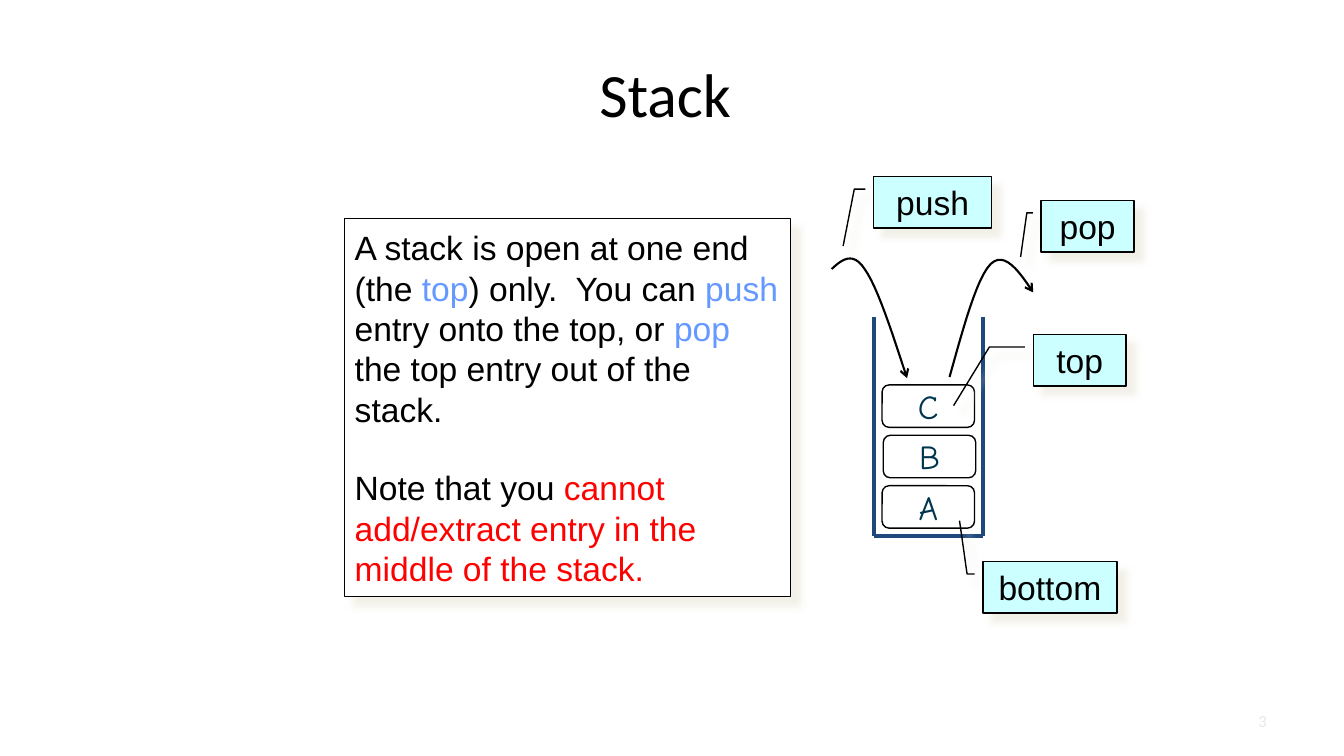
from lxml import etree
from pptx import Presentation
from pptx import util as u
from pptx.dml.color import RGBColor
from pptx.enum import shapes, text
from pptx.oxml import ns

BLACK = RGBColor(0x00, 0x00, 0x00)
WHITE = RGBColor(0xFF, 0xFF, 0xFF)
RED = RGBColor(0xFF, 0x00, 0x00)
KEYWORD = RGBColor(0x66, 0x99, 0xFF)
WALL = RGBColor(0x1F, 0x49, 0x7D)
LETTER = RGBColor(0x00, 0x35, 0x4E)
LABEL = RGBColor(0xCC, 0xFF, 0xFF)
PALE = RGBColor(0xE8, 0xE8, 0xE8)


def add_run(para, words, font, size, colour):
    span = para.add_run()
    span.text = words
    span.font.name = font
    span.font.size = u.Pt(size)
    span.font.color.rgb = colour


def style_shape(shape, fill, shadow):
    shape.fill.solid()
    shape.fill.fore_color.rgb = fill
    shape.line.color.rgb = BLACK
    shape.line.width = u.Pt(1)
    shape.shadow.inherit = False
    shape.text_frame.vertical_anchor = text.MSO_ANCHOR.MIDDLE
    if shadow:
        effects = shape._element.spPr.find(ns.qn("a:effectLst"))
        outer = etree.SubElement(effects, ns.qn("a:outerShdw"), blurRad=str(u.Pt(5)),
                                 dist=str(u.Pt(8.5)), dir="2700000", algn="tl", rotWithShape="0")
        tint = etree.SubElement(outer, ns.qn("a:srgbClr"), val="EEECE1")
        etree.SubElement(tint, ns.qn("a:alpha"), val="75000")


deck = Presentation()
deck.slide_width, deck.slide_height = u.Cm(33.87), u.Cm(19.05)
page = deck.slides.add_slide(deck.slide_layouts[5])

# Title
title = page.shapes.title
title.left, title.top, title.width, title.height = u.Cm(1.7), u.Cm(0.76), u.Cm(30.48), u.Cm(3.18)
title.text_frame.vertical_anchor = text.MSO_ANCHOR.MIDDLE
para = title.text_frame.paragraphs[0]
para.alignment = text.PP_ALIGN.CENTER
add_run(para, "Stack ", "Calibri", 44, BLACK)

# Explanation
explanation = [
    [("A stack is open at one end (the ", BLACK), ("top", KEYWORD), (") only.  You can ", BLACK),
     ("push", KEYWORD), (" entry onto the top, or ", BLACK), ("pop", KEYWORD),
     (" the top entry out of the stack.", BLACK)],
    [("Note that you ", BLACK),
     ("cannot add/extract entry in the middle of the stack.", RED)],
]
box = page.shapes.add_shape(shapes.MSO_SHAPE.RECTANGLE,
                            u.Cm(8.69), u.Cm(5.51), u.Cm(11.23), u.Cm(9.53))
style_shape(box, WHITE, True)
box.text_frame.word_wrap = True
for index, spans in enumerate(explanation):
    para = box.text_frame.paragraphs[0] if index == 0 else box.text_frame.add_paragraph()
    para.alignment = text.PP_ALIGN.LEFT
    para.space_before = u.Pt(27.6 * index)
    for words, colour in spans:
        add_run(para, words, "Arial", 24, colour)

# Container walls
corners = [(22.02, 8), (22.02, 13.51), (24.77, 13.51), (24.77, 8)]
for (x1, y1), (x2, y2) in zip(corners, corners[1:]):
    wall = page.shapes.add_connector(shapes.MSO_CONNECTOR.STRAIGHT,
                                     u.Cm(x1), u.Cm(y1), u.Cm(x2), u.Cm(y2))
    wall.line.color.rgb = WALL
    wall.line.width = u.Pt(3)
    etree.SubElement(wall._element.spPr, ns.qn("a:effectLst"))

# Stack entries, top to bottom
for index, (letter, left) in enumerate([("C", 22.23), ("B", 22.26), ("A", 22.23)]):
    entry = page.shapes.add_shape(shapes.MSO_SHAPE.ROUNDED_RECTANGLE,
                                  u.Cm(left), u.Cm(9.7 + 1.27 * index), u.Cm(2.33), u.Cm(1.07))
    entry.adjustments[0] = 0.167
    style_shape(entry, WHITE, False)
    entry.text_frame.word_wrap = False
    para = entry.text_frame.paragraphs[0]
    para.alignment = text.PP_ALIGN.CENTER
    add_run(para, letter, "Comic Neue", 24, LETTER)

# Callouts: left, top, width, then the leader's bend and tip as fractions of the box
callouts = {
    "bottom": (24.77, 14.15, 3.38, [0.243, -0.062, 0.243, -0.118, -0.791, -0.174]),
    "top": (26.04, 8.43, 2.34, [0.243, -0.091, 0.243, -0.473, 1.378, -0.858]),
    "push": (22.02, 4.45, 2.97, [0.243, -0.071, 0.243, -0.165, 1.348, -0.26]),
    "pop": (26.24, 5.05, 2.34, [0.243, -0.091, 0.243, -0.155, 1.098, -0.222]),
}
labels = {}
for words, (left, top, width, leader) in callouts.items():
    label = page.shapes.add_shape(shapes.MSO_SHAPE.LINE_CALLOUT_2,
                                  u.Cm(left), u.Cm(top), u.Cm(width), u.Cm(1.3))
    for index, value in enumerate(leader):
        label.adjustments[index] = value
    style_shape(label, LABEL, True)
    para = label.text_frame.paragraphs[0]
    para.alignment = text.PP_ALIGN.CENTER
    add_run(para, words, "Arial", 24, BLACK)
    labels[words] = label

# Curved arrows: two Bézier pieces each, grouped with their callouts
curves = {
    "push": [(20.96, 6.78), (21.21, 6.55), (21.49, 6.32), (21.79, 6.78),
             (22.12, 7.24), (22.48, 8.38), (22.86, 9.53)],
    "pop": [(23.93, 9.5), (24.28, 8.26), (24.61, 7.01), (24.97, 6.65),
            (25.32, 6.32), (25.68, 6.83), (26.04, 7.37)],
}
STEPS = 12
for words, knots in curves.items():
    points = []
    for start in (0, 3):
        piece = knots[start:start + 4]
        for step in range(1, STEPS + 1):
            t = step / STEPS
            weights = [(1 - t) ** 3, 3 * t * (1 - t) ** 2, 3 * t ** 2 * (1 - t), t ** 3]
            points.append(tuple(u.Cm(sum(w * knot[axis] for w, knot in zip(weights, piece)))
                                for axis in (0, 1)))
    builder = page.shapes.build_freeform(u.Cm(knots[0][0]), u.Cm(knots[0][1]))
    builder.add_line_segments(points, close=False)
    arrow = builder.convert_to_shape()
    arrow.fill.background()
    arrow.line.color.rgb = BLACK
    arrow.line.width = u.Pt(1.5)
    arrow.shadow.inherit = False
    etree.SubElement(arrow._element.spPr.find(ns.qn("a:ln")), ns.qn("a:tailEnd"), type="arrow")
    page.shapes.add_group_shape([arrow, labels[words]])

# Page number
number = page.shapes.add_textbox(u.Cm(24.28), u.Cm(17.65), u.Cm(7.9), u.Cm(1.01))
number.text_frame.word_wrap = True
number.text_frame.vertical_anchor = text.MSO_ANCHOR.MIDDLE
para = number.text_frame.paragraphs[0]
para.alignment = text.PP_ALIGN.RIGHT
add_run(para, "3", "Calibri", 12, PALE)

deck.save("out.pptx")
